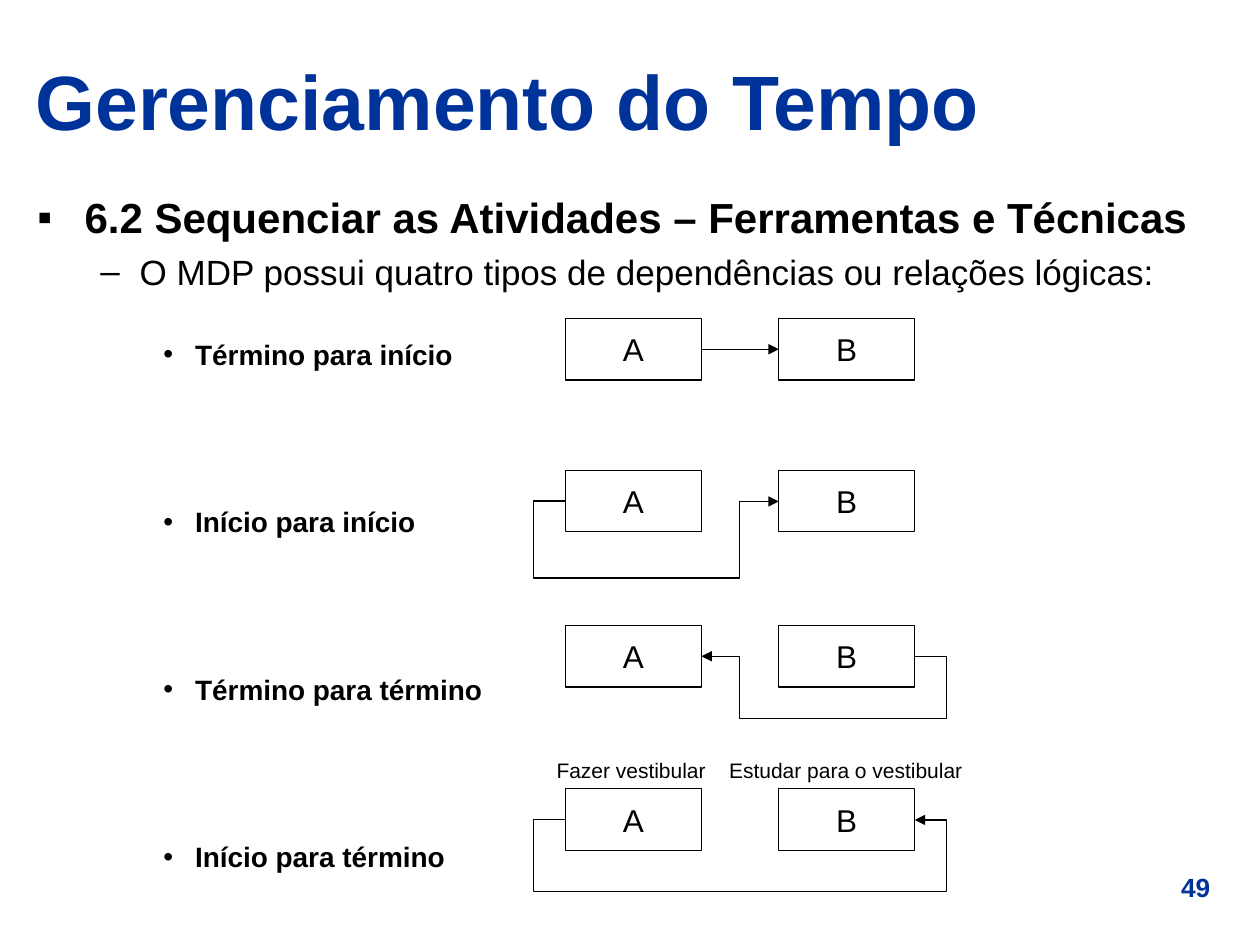
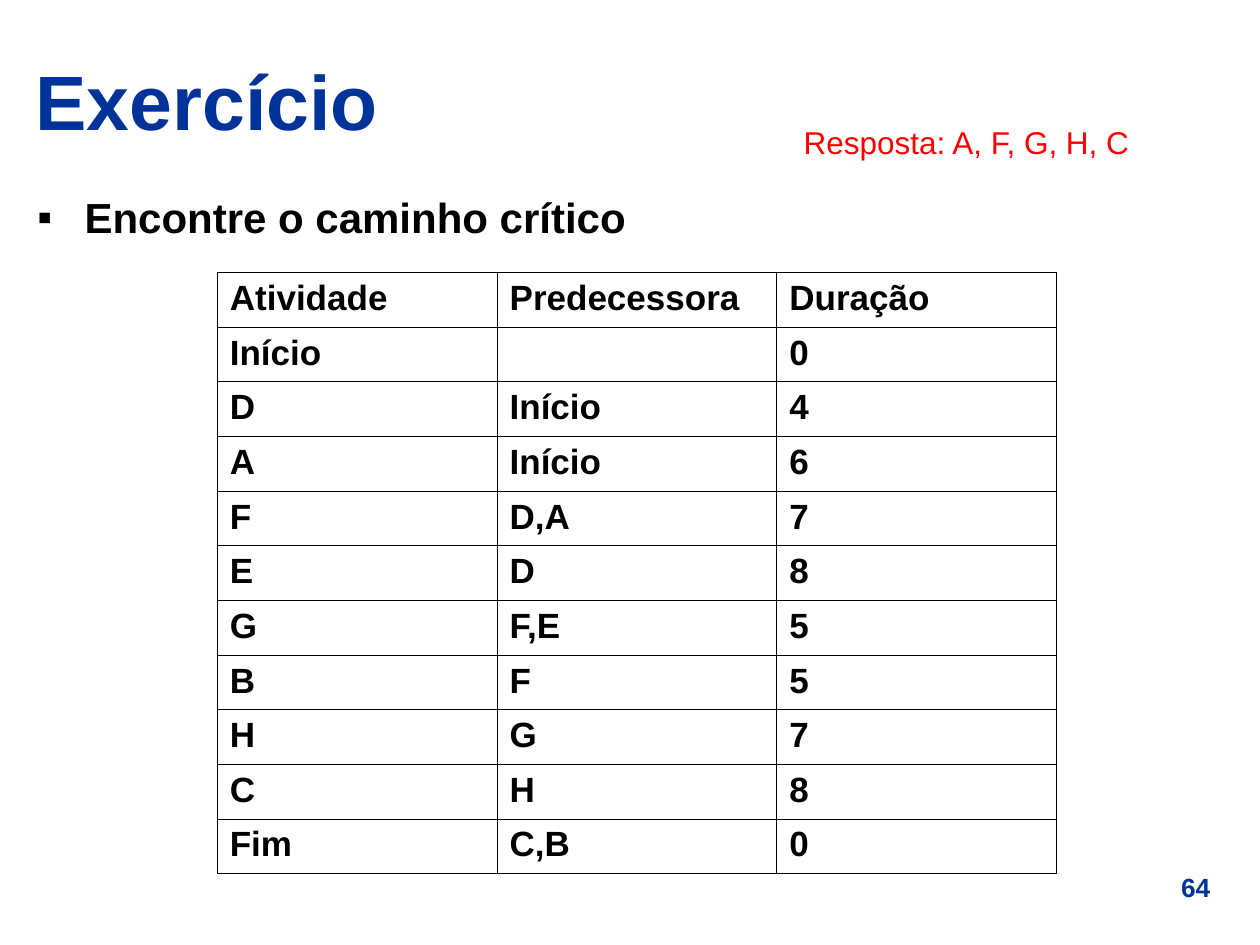
from lxml import etree
from pptx import Presentation
from pptx.dml.color import RGBColor
from pptx.enum.shapes import MSO_CONNECTOR, MSO_SHAPE
from pptx.enum.text import MSO_ANCHOR, MSO_AUTO_SIZE, PP_ALIGN
from pptx.oxml.ns import qn
from pptx.util import Cm, Pt

RECTANGLE = MSO_SHAPE.RECTANGLE
STRAIGHT, ELBOW = MSO_CONNECTOR.STRAIGHT, MSO_CONNECTOR.ELBOW
LEFT, CENTER = PP_ALIGN.LEFT, PP_ALIGN.CENTER
MIDDLE = MSO_ANCHOR.MIDDLE
NO_AUTOFIT, GROW = MSO_AUTO_SIZE.NONE, MSO_AUTO_SIZE.SHAPE_TO_FIT_TEXT

FONT = "Arial"
BLUE, BLACK, WHITE, RED = "003399", "000000", "FFFFFF", "FF0000"

# Bullet, left margin (cm), hanging indent (cm), size (pt), bold, line spacing
LIST_LEVELS = [
    ("▪", 0.95, 0.95, 24, True, 1.0),
    ("–", 2.06, 0.79, 20, False, 1.0),
    ("•", 3.18, 0.64, 16, True, 1.3),
]

# Activity boxes (cm); connection sites of a rectangle
A_LEFT, B_LEFT = 11.4, 15.7
BOX_WIDTH, BOX_HEIGHT = 2.74, 1.24
SITE_LEFT, SITE_RIGHT = 1, 3
ELBOW_HEIGHT = 0.01
OUTER_LEFT, BETWEEN, OUTER_RIGHT = 10.76, 14.91, 19.08

ACTIVITIES = [
    ("Atividade", "Predecessora", "Duração"),
    ("Início", "", "0"),
    ("D", "Início", "4"),
    ("A", "Início", "6"),
    ("F", "D,A", "7"),
    ("E", "D", "8"),
    ("G", "F,E", "5"),
    ("B", "F", "5"),
    ("H", "G", "7"),
    ("C", "H", "8"),
    ("Fim", "C,B", "0"),
]


def rgb(color):
    return RGBColor.from_string(color)


def add_xml(parent, tag, **attributes):
    return etree.SubElement(parent, qn(tag), attributes)


def format_runs(paragraph, size, color=BLACK, bold=False):
    for run in paragraph.runs:
        run.font.name = FONT
        run.font.size = Pt(size)
        run.font.bold = bold
        run.font.color.rgb = rgb(color)


def draw_line(shape, arrow=False):
    shape.line.color.rgb = rgb(BLACK)
    shape.line.width = Pt(0.75)
    if arrow:
        add_xml(shape.line._get_or_add_ln(), "a:tailEnd", type="triangle")


def place(shape, left, top, width, height):
    shape.left, shape.top = Cm(left), Cm(top)
    shape.width, shape.height = Cm(width), Cm(height)


def add_text(slide, text, left, top, width, height, size,
             color=BLACK, bold=False, align=LEFT):
    box = slide.shapes.add_textbox(Cm(left), Cm(top), Cm(width), Cm(height))
    frame = box.text_frame
    frame.text = text
    frame.word_wrap = False
    frame.auto_size = GROW
    frame.paragraphs[0].alignment = align
    format_runs(frame.paragraphs[0], size, color, bold)


def add_content_slide(deck, title, number):
    """Slide with the shared title style and page number."""
    slide = deck.slides.add_slide(deck.slide_layouts[1])
    heading = slide.shapes.title
    place(heading, 0.46, 0.73, 24.43, 2.57)
    frame = heading.text_frame
    frame.text = title
    frame.auto_size = NO_AUTOFIT
    frame.vertical_anchor = MIDDLE
    frame.paragraphs[0].alignment = LEFT
    format_runs(frame.paragraphs[0], 44, BLUE, True)
    add_text(slide, number, 23.1, 17.43, 2.01, 0.89, 15, BLUE, True, CENTER)
    return slide


def fill_list(slide, items, width, height):
    """Items are (level, space before in points, text)."""
    body = slide.placeholders[1]
    place(body, 0.5, 3.73, width, height)
    frame = body.text_frame
    frame.auto_size = NO_AUTOFIT
    frame.text = "\n".join(text for _, _, text in items)
    for paragraph, (level, space, _) in zip(frame.paragraphs, items):
        bullet, margin, hanging, size, bold, spacing = LIST_LEVELS[level]
        paragraph.level = level
        paragraph.line_spacing = spacing
        paragraph.space_before = Pt(space)
        properties = paragraph._p.get_or_add_pPr()
        properties.set("marL", str(Cm(margin)))
        properties.set("indent", str(-Cm(hanging)))
        bullet_color = add_xml(properties, "a:buClr")
        add_xml(bullet_color, "a:srgbClr", val=BLACK)
        add_xml(properties, "a:buFont", typeface=FONT)
        add_xml(properties, "a:buChar", char=bullet)
        format_runs(paragraph, size, BLACK, bold)


def add_activity(slide, name, left, top):
    box = slide.shapes.add_shape(RECTANGLE, Cm(left), Cm(top),
                                 Cm(BOX_WIDTH), Cm(BOX_HEIGHT))
    box.shadow.inherit = False
    box.fill.solid()
    box.fill.fore_color.rgb = rgb(WHITE)
    draw_line(box)
    frame = box.text_frame
    frame.text = name
    frame.word_wrap = False
    frame.vertical_anchor = MIDDLE
    frame.paragraphs[0].alignment = CENTER
    format_runs(frame.paragraphs[0], 18)
    return box


def add_activity_pair(slide, top):
    return (add_activity(slide, "A", A_LEFT, top),
            add_activity(slide, "B", B_LEFT, top))


def add_dependency(slide, kind, pair, start_site, end_site):
    connector = slide.shapes.add_connector(kind, 0, 0, 0, 0)
    connector.begin_connect(pair[0], start_site)
    connector.end_connect(pair[1], end_site)
    draw_line(connector, arrow=True)
    add_xml(connector._element.spPr, "a:effectLst")
    return connector


def bend(connector, first_x, second_x, drop):
    """Route a line that leaves to the left down by drop (cm)."""
    connector.height = Cm(ELBOW_HEIGHT)
    start, width = connector.left, connector.width
    ratios = ((Cm(first_x) - start) / width, drop / ELBOW_HEIGHT,
              (Cm(second_x) - start) / width)
    properties = connector._element.spPr
    geometry = properties.find(qn("a:prstGeom"))
    geometry.set("prst", "bentConnector5")
    guides = geometry.find(qn("a:avLst"))
    if guides is None:
        guides = add_xml(geometry, "a:avLst")
    for index, ratio in enumerate(ratios, 1):
        add_xml(guides, "a:gd", name=f"adj{index}",
                fmla=f"val {round(ratio * 100000)}")
    # Turned and mirrored back, so that it starts to the left
    transform = properties.find(qn("a:xfrm"))
    transform.set("rot", "10800000")
    transform.set("flipH", "1")
    transform.set("flipV", "1")


def add_return_arrow(slide, pair, drop):
    """Arrow from the right side of B, below it, to the right side of A."""
    a_end, b_end = [box.left + box.width for box in pair]
    middle = pair[0].top + pair[0].height // 2
    bottom = middle + Cm(drop)
    outer, between = Cm(OUTER_RIGHT), Cm(BETWEEN)
    builder = slide.shapes.build_freeform(b_end, middle)
    builder.add_line_segments(
        [(outer, middle), (outer, bottom), (between, bottom),
         (between, middle), (a_end, middle)], close=False)
    arrow = builder.convert_to_shape()
    arrow.shadow.inherit = False
    arrow.fill.background()
    draw_line(arrow, arrow=True)


def add_activity_table(slide, rows, left, top, column_width, row_height):
    columns = len(rows[0])
    frame = slide.shapes.add_table(len(rows), columns, Cm(left), Cm(top),
                                   Cm(column_width * columns),
                                   Cm(row_height * len(rows)))
    table = frame.table
    table.first_row = table.horz_banding = False
    for column in table.columns:
        column.width = Cm(column_width)
    for row, values in zip(table.rows, rows):
        row.height = Cm(row_height)
        for cell, value in zip(row.cells, values):
            cell.text = value
            format_runs(cell.text_frame.paragraphs[0], 20, BLACK, True)
            draw_borders(cell)
            cell.fill.background()


def draw_borders(cell):
    properties = cell._tc.get_or_add_tcPr()
    for side in ("a:lnL", "a:lnR", "a:lnT", "a:lnB"):
        border = add_xml(properties, side, w=str(Pt(0.45)))
        add_xml(add_xml(border, "a:solidFill"), "a:srgbClr", val=BLACK)


def build_dependencies(deck):
    slide = add_content_slide(deck, "Gerenciamento do Tempo", "49")
    fill_list(slide, [
        (0, 0, "6.2 Sequenciar as Atividades – Ferramentas e Técnicas"),
        (1, 5, "O MDP possui quatro tipos de dependências ou relações lógicas:"),
        (2, 20, "Término para início"),
        (2, 70.7, "Início para início"),
        (2, 70.7, "Término para término"),
        (2, 70.7, "Início para término"),
    ], 24.41, 14.2)

    # One pair of activities for each kind of dependency
    finish_start, start_start, finish_finish, start_finish = [
        add_activity_pair(slide, top) for top in (6.42, 9.48, 12.61, 15.9)]
    add_dependency(slide, STRAIGHT, finish_start, SITE_RIGHT, SITE_LEFT)
    bend(add_dependency(slide, ELBOW, start_start, SITE_LEFT, SITE_LEFT),
         OUTER_LEFT, BETWEEN, 1.55)
    add_return_arrow(slide, finish_finish, 1.26)
    bend(add_dependency(slide, ELBOW, start_finish, SITE_LEFT, SITE_RIGHT),
         OUTER_LEFT, OUTER_RIGHT, 1.45)

    # Example for the last pair
    add_text(slide, "Fazer vestibular", 10.97, 15.14, 3.56, 0.76, 12)
    add_text(slide, "Estudar para o vestibular", 14.45, 15.14, 5.21, 0.76, 12)


def build_exercise(deck):
    slide = add_content_slide(deck, "Exercício", "64")
    fill_list(slide, [(0, 0, "Encontre o caminho crítico")], 23.06, 1.65)
    add_activity_table(slide, ACTIVITIES, 4.38, 5.49, 5.64, 1.1)
    add_text(slide, "Resposta: A, F, G, H, C", 15.95, 2.36, 7.16, 1.02, 18, RED)


def main():
    deck = Presentation()
    deck.slide_width, deck.slide_height = Cm(25.4), Cm(19.05)
    build_dependencies(deck)
    build_exercise(deck)
    deck.save("out.pptx")


if __name__ == "__main__":
    main()
